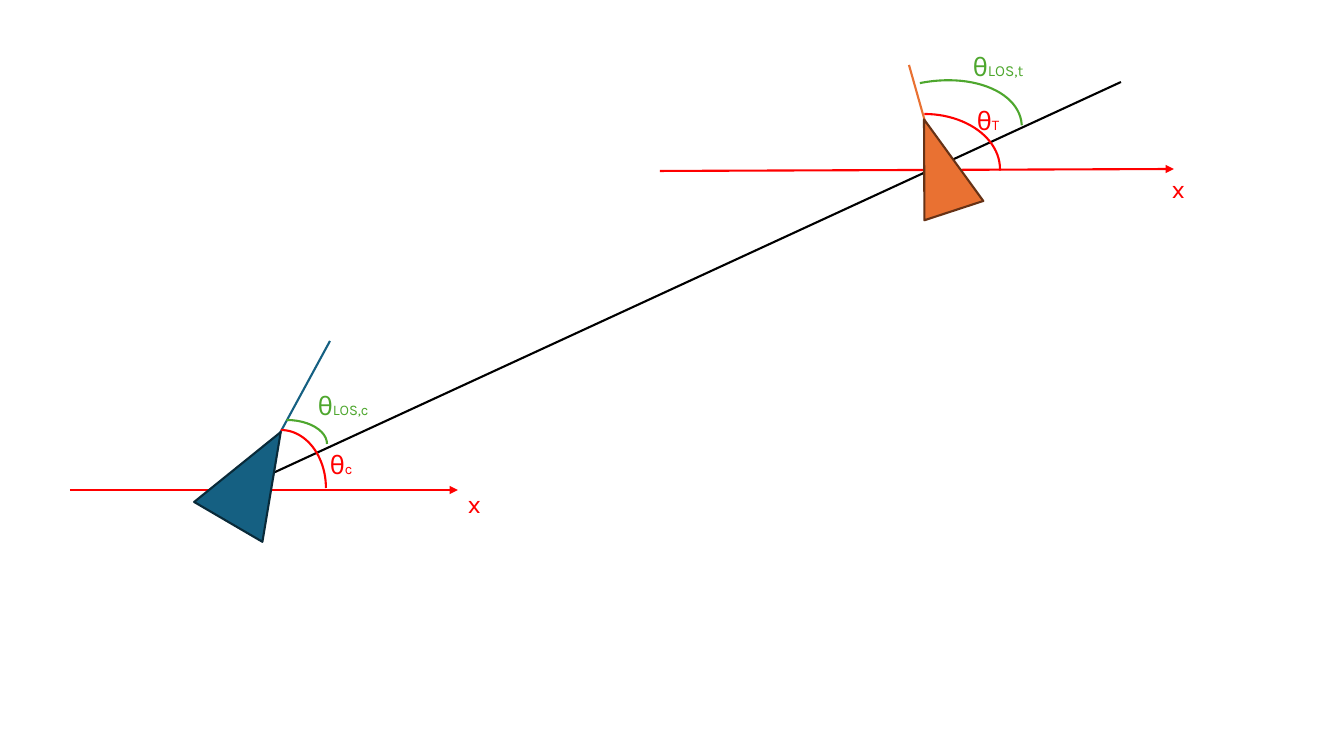
from lxml.etree import SubElement
from pptx import Presentation
from pptx.dml.color import RGBColor
from pptx.enum.shapes import MSO_CONNECTOR, MSO_SHAPE
from pptx.enum.text import MSO_AUTO_SIZE
from pptx.oxml.ns import qn
from pptx.util import Pt

PX = 914400 / 100.8
FONT = "Karla"
BLACK = RGBColor(0x00, 0x00, 0x00)
RED = RGBColor(0xFF, 0x00, 0x00)
GREEN = RGBColor(0x4E, 0xA7, 0x2E)
BLUE = RGBColor(0x15, 0x60, 0x82)
DARK_BLUE = RGBColor(0x09, 0x2A, 0x39)
ORANGE = RGBColor(0xE9, 0x71, 0x32)
DARK_ORANGE = RGBColor(0x66, 0x32, 0x16)

# start x, start y, end x, end y, colour, arrowhead
LINES = [
    (234, 491, 1121, 82, BLACK, False),   # line of sight
    (249, 490, 330, 341, BLUE, False),    # chaser heading
    (939, 171, 909, 65, ORANGE, False),   # target heading
    (70, 490, 458, 490, RED, True),       # chaser x axis
    (660, 171, 1174, 169, RED, True),     # target x axis
]
# left, top, width, height, rotation, fill, outline
VEHICLES = [
    (215, 425, 79, 104, 30.3, BLUE, DARK_BLUE),
    (908, 117, 62, 96, 341.9, ORANGE, DARK_ORANGE),
]
# left, top, width, height, rotation, end angle in degrees, colour
ARCS = [
    (839, 82, 184, 113, 348.7, 3, GREEN),
    (246, 420, 81, 48, 0, 0, GREEN),
    (236, 430, 90, 116, 0, 0, RED),
    (849, 114, 151, 110, 0, 1.3, RED),
]
# left, top, width, symbol, subscript, subscript size, colour
LABELS = [
    (320, 444, 120, "θ", "c", 10.5, RED),
    (963, 46, 163, "θ", "LOS,t", 11, GREEN),
    (458, 483, 52, "x", "", 10.5, RED),
    (1162, 168, 52, "x", "", 10.5, RED),
    (308, 385, 120, "θ", "LOS,c", 10.5, GREEN),
    (967, 100, 120, "θ", "T", 10.5, RED),
]
LABEL_HEIGHT = 40


def emu(*lengths):
    return [round(n * PX) for n in lengths]


def set_line(shape, color):
    shape.line.color.rgb = color
    shape.line.width = Pt(1.5)


def add_line(s, x1, y1, x2, y2, color, arrow):
    c = s.shapes.add_connector(MSO_CONNECTOR.STRAIGHT, *emu(x1, y1, x2, y2))
    set_line(c, color)
    if arrow:
        SubElement(c.line._get_or_add_ln(), qn("a:tailEnd"), type="triangle")
    SubElement(c._element.spPr, qn("a:effectLst"))


def add_figure(s, kind, box, rotation, color):
    sp = s.shapes.add_shape(kind, *emu(*box))
    sp.shadow.inherit = False
    sp.rotation = rotation
    set_line(sp, color)
    return sp


def add_run(p, text, *, size, color):
    r = p.add_run()
    r.text = text
    r.font.name = FONT
    r.font.size = Pt(size)
    r.font.color.rgb = color


def main():
    prs = Presentation()
    prs.slide_width, prs.slide_height = emu(1344, 756)
    s = prs.slides.add_slide(prs.slide_layouts[6])

    for line in LINES:
        add_line(s, *line)

    for *box, rotation, fill, outline in VEHICLES:
        sp = add_figure(s, MSO_SHAPE.ISOSCELES_TRIANGLE, box, rotation, outline)
        sp.fill.solid()
        sp.fill.fore_color.rgb = fill

    for *box, rotation, end, color in ARCS:
        sp = add_figure(s, MSO_SHAPE.ARC, box, rotation, color)
        sp.fill.background()
        # an angle adjustment of 0.6 is one degree
        sp.adjustments[0] = 270 * 0.6
        sp.adjustments[1] = end * 0.6

    for x, y, w, symbol, subscript, size, color in LABELS:
        tf = s.shapes.add_textbox(*emu(x, y, w, LABEL_HEIGHT)).text_frame
        tf.word_wrap = True
        tf.auto_size = MSO_AUTO_SIZE.SHAPE_TO_FIT_TEXT
        p = tf.paragraphs[0]
        add_run(p, symbol, size=18, color=color)
        if subscript:
            add_run(p, subscript, size=size, color=color)

    prs.save("out.pptx")


if __name__ == "__main__":
    main()
